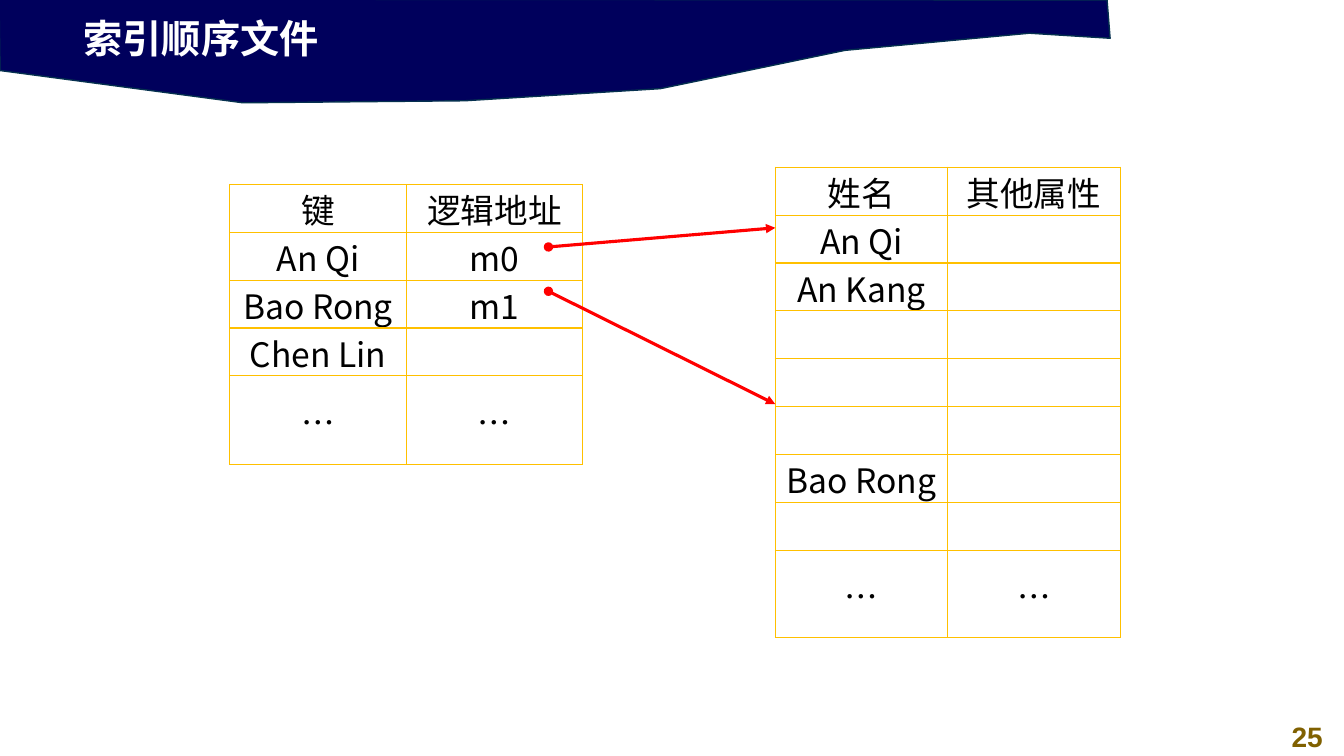
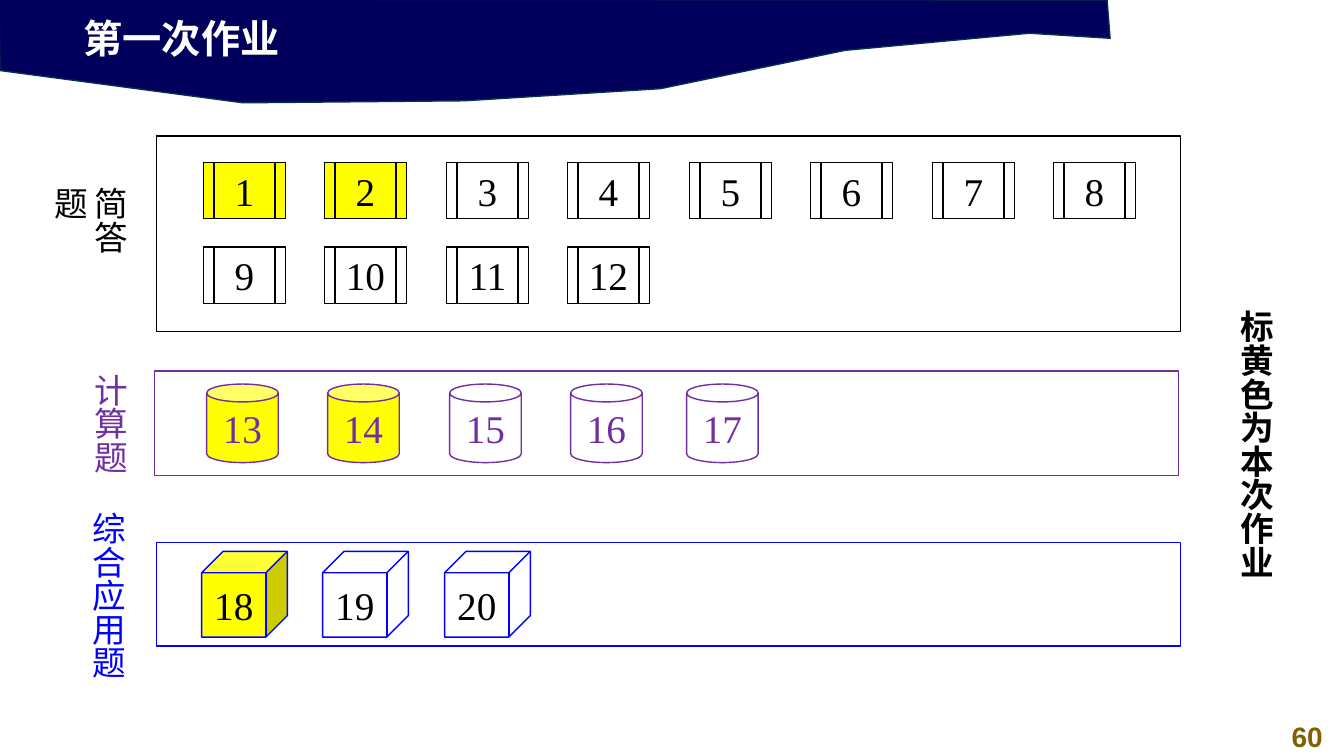
from dataclasses import dataclass

from lxml import etree
from pptx import Presentation
from pptx.dml.color import RGBColor
from pptx.enum.shapes import MSO_CONNECTOR, MSO_SHAPE
from pptx.enum.text import MSO_ANCHOR, MSO_AUTO_SIZE, PP_ALIGN
from pptx.oxml.ns import qn
from pptx.util import Emu, Pt

SCALE = 9144  # 100 px to the inch
TITLE_ONLY = 5
LEFT, CENTER = PP_ALIGN.LEFT, PP_ALIGN.CENTER
MIDDLE = MSO_ANCHOR.MIDDLE
GROW = MSO_AUTO_SIZE.SHAPE_TO_FIT_TEXT
STRAIGHT = MSO_CONNECTOR.STRAIGHT
RECT, CAN, CUBE = MSO_SHAPE.RECTANGLE, MSO_SHAPE.CAN, MSO_SHAPE.CUBE
PROCESS = MSO_SHAPE.FLOWCHART_PREDEFINED_PROCESS


@dataclass(frozen=True)
class Theme:
    navy: str = "00005C"
    edge: str = "05304F"
    white: str = "FFFFFF"
    black: str = "000000"
    brown: str = "806000"
    gold: str = "FFC000"
    yellow: str = "FFFF00"
    red: str = "FF0000"
    purple: str = "7030A0"
    blue: str = "0000FF"
    sans: str = "Arial"
    serif: str = "Times New Roman"
    cjk: str = "Noto Sans CJK SC"
    head: int = 28
    text: int = 24
    page: int = 20
    thin: float = 1
    thick: float = 2.25


T = Theme()
BAND = [(-1, -1), (0, 70), (241, 102), (461, 100), (655, 88),
        (838, 50), (1021, 33), (1101, 38), (1098, 0)]
KEYS = [("键", "逻辑地址"), ("An Qi", "m0"), ("Bao Rong", "m1"),
        ("Chen Lin", ""), ("…", "…")]
FILE = [("姓名", "其他属性"), ("An Qi", ""), ("An Kang", ""), ("", ""),
        ("", ""), ("", ""), ("Bao Rong", ""), ("", ""), ("…", "…")]
DONE = {1, 2, 13, 14, 18}


def px(*vals):
    return [Emu(round(val * SCALE)) for val in vals]


def rgb(code):
    return RGBColor.from_string(code)


def write(frame, text, size=T.text, font=T.cjk, color=T.black, bold=False,
          align=LEFT, space=None):
    para = frame.paragraphs[0]
    para.alignment = align
    para.line_spacing = space
    run = para.add_run()
    run.text = text
    run.font.size = Pt(size)
    run.font.bold = bold
    run.font.color.rgb = rgb(color)
    run.font.name = font
    east = etree.SubElement(run._r.get_or_add_rPr(), qn("a:ea"))
    east.set("typeface", T.cjk)


def paint(shape, fill, line):
    shape.shadow.inherit = False
    if fill:
        shape.fill.solid()
        shape.fill.fore_color.rgb = rgb(fill)
    else:
        shape.fill.background()
    shape.line.color.rgb = rgb(line)
    shape.line.width = Pt(T.thin)


def draw(slide, kind, box, line, fill=None):
    shape = slide.shapes.add_shape(kind, *px(*box))
    paint(shape, fill, line)
    return shape


def label(slide, box, text, wrap=True, **form):
    shape = slide.shapes.add_textbox(*px(*box))
    frame = shape.text_frame
    frame.word_wrap = wrap
    frame.auto_size = GROW
    write(frame, text, **form)
    return shape


def upright(slide, box, text, **form):
    """Add a label whose characters run from top to bottom."""
    shape = label(slide, box, text, **form)
    shape.element.xpath(".//a:bodyPr")[0].set("vert", "eaVert")


def band(slide):
    """Put the title band on the layout that the slides share."""
    path = slide.shapes.build_freeform(*BAND[0], scale=SCALE)
    path.add_line_segments(BAND[1:], close=True)
    shape = path.convert_to_shape()
    paint(shape, T.navy, T.edge)
    shape.element.xpath(".//p:cNvPr")[0].set("id", "20")
    slide.slide_layout.shapes.element.append(shape.element)


def start(deck, title, page):
    slide = deck.slides.add_slide(deck.slide_layouts[TITLE_ONLY])
    head = slide.shapes.title
    head.left, head.top, head.width, head.height = px(73, 9, 768, 57)
    head.text_frame.vertical_anchor = MIDDLE
    head.text_frame.auto_size = GROW
    write(head.text_frame, title, size=T.head, font=T.sans, color=T.white,
          bold=True)
    label(slide, (1260, 709, 73, 44), str(page), size=T.page, font=T.sans,
          color=T.brown, bold=True, align=CENTER)
    return slide


def border(cell):
    props = cell._tc.get_or_add_tcPr()
    for spot, side in enumerate(("lnL", "lnR", "lnT", "lnB")):
        line = etree.Element(qn(f"a:{side}"), w=str(Pt(T.thin)))
        fill = etree.SubElement(line, qn("a:solidFill"))
        etree.SubElement(fill, qn("a:srgbClr"), val=T.gold)
        props.insert(spot, line)


def grid(slide, box, rows, last):
    """Add a table of equal rows, but for a last one of its own height."""
    wide, high = box[2:]
    table = slide.shapes.add_table(len(rows), 2, *px(*box)).table
    table.first_row = table.horz_banding = False
    for col in table.columns:
        col.width, = px(wide / 2)
    for row in table.rows:
        row.height, = px((high - last) / (len(rows) - 1))
    table.rows[len(rows) - 1].height, = px(last)
    for y, row in enumerate(rows):
        for x, text in enumerate(row):
            cell = table.cell(y, x)
            cell.fill.background()
            border(cell)
            cell.vertical_anchor = MIDDLE
            cell.margin_top, cell.margin_bottom = px(4, 0)
            if text:
                write(cell.text_frame, text, align=CENTER, space=0.9)


def arrow(slide, *ends):
    link = slide.shapes.add_connector(STRAIGHT, *px(*ends))
    link.line.color.rgb = rgb(T.red)
    link.line.width = Pt(T.thick)
    line = link.element.xpath(".//a:ln")[0]
    etree.SubElement(line, qn("a:headEnd"), type="oval")
    etree.SubElement(line, qn("a:tailEnd"), type="triangle")
    etree.SubElement(line.getparent(), qn("a:effectLst"))


def tasks(slide, kind, box, nums, line, color=T.black):
    """Add a row of numbered shapes; those set this time are yellow."""
    left, top, wide, high = box
    for i, num in enumerate(nums):
        spot = (left + i * 241 // 2, top, wide, high)
        shape = draw(slide, kind, spot, line, T.yellow if num in DONE else None)
        frame = shape.text_frame
        frame.word_wrap = False
        frame.vertical_anchor = MIDDLE
        write(frame, str(num), size=T.head, font=T.serif, color=color,
              align=CENTER)


def index(deck):
    slide = start(deck, "索引顺序文件", 25)
    band(slide)
    grid(slide, (228, 183, 350, 278), KEYS, 88)
    grid(slide, (769, 166, 342, 467), FILE, 87)
    arrow(slide, 544, 245, 769, 226)
    arrow(slide, 544, 289, 769, 401)


def homework(deck):
    slide = start(deck, "第一次作业", 60)
    draw(slide, RECT, (155, 135, 1016, 194), T.black)
    draw(slide, RECT, (153, 368, 1016, 104), T.purple)
    draw(slide, RECT, (155, 538, 1016, 103), T.blue)
    upright(slide, (73, 176, 61, 109), "简答题")
    upright(slide, (73, 361, 61, 111), "计算题", wrap=False, color=T.purple)
    upright(slide, (71, 498, 61, 178), "综合应用题", wrap=False, color=T.blue)
    upright(slide, (1210, 298, 61, 279), "标黄色为本次作业", wrap=False,
            bold=True)
    tasks(slide, PROCESS, (202, 161, 81, 56), range(1, 9), T.black)
    tasks(slide, PROCESS, (202, 245, 81, 56), range(9, 13), T.black)
    tasks(slide, CAN, (205, 381, 71, 78), range(13, 17), T.purple, T.purple)
    tasks(slide, CAN, (681, 381, 71, 78), [17], T.purple, T.purple)
    tasks(slide, CUBE, (200, 547, 85, 85), range(18, 21), T.blue)


def main():
    deck = Presentation()
    deck.slide_width, deck.slide_height = px(1333, 750)
    index(deck)
    homework(deck)
    deck.save("out.pptx")


if __name__ == "__main__":
    main()
